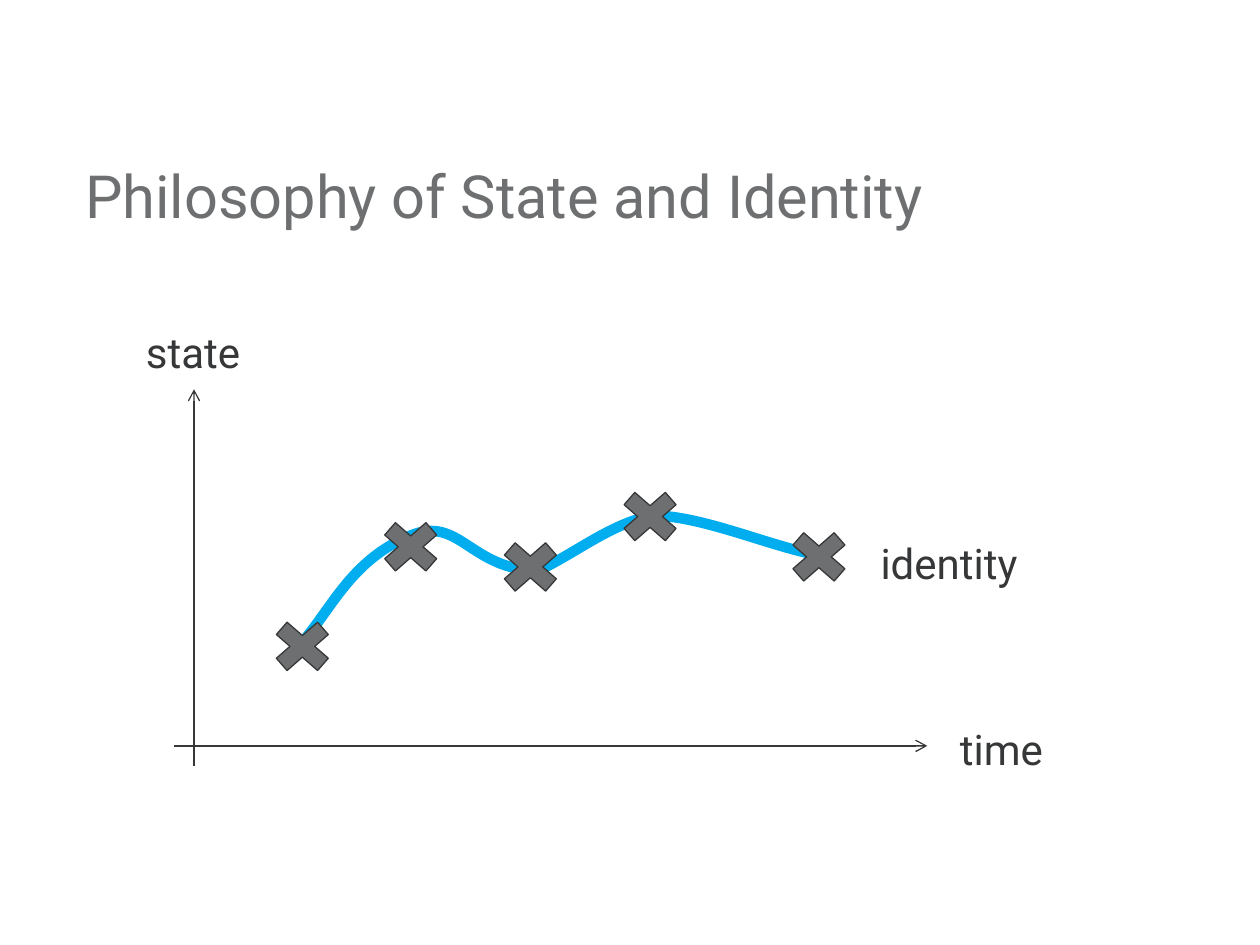
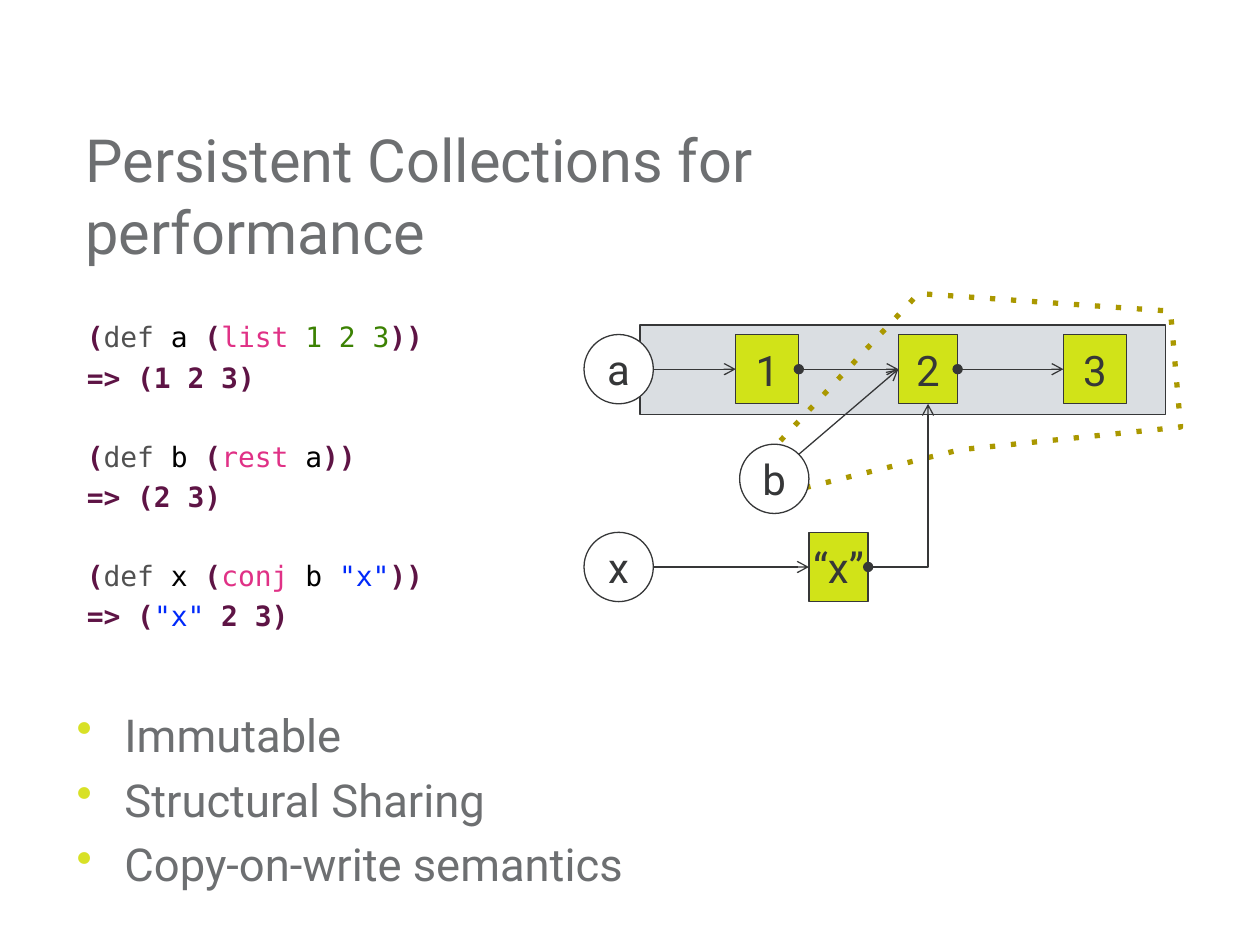
"""Build two slides on state, identity and persistent collections."""
from dataclasses import dataclass

from lxml.etree import SubElement
from pptx import Presentation
from pptx.dml.color import RGBColor
from pptx.enum.shapes import MSO_CONNECTOR, MSO_SHAPE
from pptx.enum.text import MSO_ANCHOR, PP_ALIGN
from pptx.oxml.ns import qn
from pptx.util import Emu, Inches, Pt


@dataclass(frozen=True)
class Theme:
    font: str = "Roboto"
    code_font: str = "DejaVu Sans Mono"
    title_size: float = 34
    body_size: float = 25.9
    label_size: float = 24
    code_size: float = 16
    grey: str = "6D6F71"
    ink: str = "363738"
    white: str = "FFFFFF"
    band: str = "DADEE2"
    lime: str = "D1E318"
    bullet: str = "D8E126"
    curve: str = "00ADEF"
    dots: str = "AA9800"
    thin: float = 0.75


THEME = Theme()
SLIDE_SIZE = (10, 7.5)

STATE_TITLE = "Philosophy of State and Identity"
AXES = [((1.38, 5.92), (7.36, 5.92)), ((1.54, 6.08), (1.54, 3.09))]
AXIS_LABELS = [("time", (7.52, 5.69, 0.87, 0.5)),
               ("state", (1.06, 2.54, 0.98, 0.5)),
               ("identity", (6.89, 4.22, 1.36, 0.5))]
MARKER_SIZE = (0.63, 0.55)
MARKER_CENTRES = [(2.4, 5.13), (3.26, 4.34), (4.21, 4.5), (5.16, 4.1), (6.5, 4.42)]
IDENTITY_CURVE = [(2.27, 5.23),
                  (2.6, 4.94), (2.72, 4.47), (3.26, 4.25),
                  (3.65, 4.09), (3.73, 4.52), (4.27, 4.53),
                  (4.57, 4.39), (4.84, 4.16), (5.18, 4.09),
                  (5.61, 4.1), (6.13, 4.35), (6.56, 4.42)]

COLLECTIONS_TITLE = "Persistent Collections for performance"
BENEFITS = ["Immutable", "Structural Sharing", "Copy-on-write semantics"]
CODE_COLOURS = {"mark": "5E1445", "keyword": "515151", "name": "000000",
                "function": "E03186", "number": "3C8203", "string": "0029FA"}
CODE = [
    ([("(", "mark"), ("def ", "keyword"), ("a ", "name"), ("(", "mark"),
      ("list ", "function"), ("1 2 3", "number"), ("))", "mark")],
     [("=> (1 2 3)", "mark")]),
    ([("(", "mark"), ("def ", "keyword"), ("b ", "name"), ("(", "mark"),
      ("rest ", "function"), ("a", "name"), ("))", "mark")],
     [("=> (2 3)", "mark")]),
    ([("(", "mark"), ("def ", "keyword"), ("x ", "name"), ("(", "mark"),
      ("conj ", "function"), ("b ", "name"), ('"x"', "string"), ("))", "mark")],
     [("=> (", "mark"), ('"x"', "string"), (" 2 3)", "mark")]),
]
LIST_BAND = (5.08, 2.58, 4.17, 0.71)
REST_OUTLINE = [(6.08, 3.62), (7.29, 2.33), (9.29, 2.47),
                (9.37, 3.39), (7.62, 3.57), (6.27, 3.9)]
NODE_HEIGHT = 0.55
LIST_ROW, REST_ROW, CONJ_ROW = 2.93, 3.8, 4.5
CELLS = {"1": (6.09, LIST_ROW, 0.5), "2": (7.365, LIST_ROW, 0.47),
         "3": (8.69, LIST_ROW, 0.5), "“x”": (6.655, CONJ_ROW, 0.47)}
NAMES = {"a": (4.91, LIST_ROW, NODE_HEIGHT), "b": (6.145, REST_ROW, NODE_HEIGHT),
         "x": (4.91, CONJ_ROW, NODE_HEIGHT)}
NODES = CELLS | NAMES
SIDES = {"left": (-0.5, 0), "right": (0.5, 0), "bottom": (0, 0.5), "corner": (0.35, -0.35)}
LINKS = [("1", "right", "2", "left"), ("2", "right", "3", "left"),
         ("a", "right", "1", "left"), ("b", "corner", "2", "left"),
         ("x", "right", "“x”", "left"), ("“x”", "right", "2", "bottom")]


def inches(values):
    return [Inches(value) for value in values]


def colour(value):
    return RGBColor.from_string(value)


def format_run(run, size, tint, font=THEME.font, bold=False):
    run.font.size = Pt(size)
    run.font.name = font
    run.font.bold = bold
    run.font.color.rgb = colour(tint)


def add_text(slide, box, text, size, tint, wrap=True, anchor=MSO_ANCHOR.TOP):
    text_frame = slide.shapes.add_textbox(*inches(box)).text_frame
    text_frame.word_wrap = wrap
    text_frame.vertical_anchor = anchor
    text_frame.text = text
    for paragraph in text_frame.paragraphs:
        for run in paragraph.runs:
            format_run(run, size, tint)
    return text_frame


def add_title(slide, text, width):
    add_text(slide, (0.58, 1.17, width, 0.75), text, THEME.title_size, THEME.grey,
             anchor=MSO_ANCHOR.MIDDLE)


def set_line(shape, tint=THEME.ink, width=THEME.thin):
    shape.line.color.rgb = colour(tint)
    shape.line.width = Pt(width)


def add_preset(slide, kind, box, fill):
    shape = slide.shapes.add_shape(kind, *inches(box))
    shape.shadow.inherit = False
    shape.fill.solid()
    shape.fill.fore_color.rgb = colour(fill)
    set_line(shape)
    return shape


def add_outline(slide, points, tint, width, close):
    (start_x, start_y), *rest = [inches(point) for point in points]
    builder = slide.shapes.build_freeform(start_x, start_y)
    builder.add_line_segments(rest, close=close)
    shape = builder.convert_to_shape(Emu(0), Emu(0))
    shape.shadow.inherit = False
    shape.fill.background()
    set_line(shape, tint, width)
    return shape


def bend_segments(shape):
    outline = next(shape.element.iter(qn("a:path")))
    segments = outline.findall(qn("a:lnTo"))
    for first in range(0, len(segments), 3):
        bezier = SubElement(outline, qn("a:cubicBezTo"))
        for segment in segments[first:first + 3]:
            bezier.append(segment[0])
            outline.remove(segment)


def add_arrow(slide, start, end, kind=MSO_CONNECTOR.STRAIGHT, dot=False):
    connector = slide.shapes.add_connector(kind, *inches(start), *inches(end))
    set_line(connector)
    line = connector.line._get_or_add_ln()
    if dot:
        SubElement(line, qn("a:headEnd"), type="oval")
    SubElement(line, qn("a:tailEnd"), type="arrow")
    SubElement(connector.element.spPr, qn("a:effectLst"))
    return connector


def node_box(name):
    centre_x, centre_y, width = NODES[name]
    return centre_x - width / 2, centre_y - NODE_HEIGHT / 2, width, NODE_HEIGHT


def node_side(name, side):
    centre_x, centre_y, width = NODES[name]
    across, down = SIDES[side]
    return centre_x + across * width, centre_y + down * NODE_HEIGHT


def add_node(slide, name):
    kind, fill = ((MSO_SHAPE.RECTANGLE, THEME.lime) if name in CELLS
                  else (MSO_SHAPE.OVAL, THEME.white))
    text_frame = add_preset(slide, kind, node_box(name), fill).text_frame
    text_frame.margin_left = text_frame.margin_right = 0
    text_frame.vertical_anchor = MSO_ANCHOR.MIDDLE
    text_frame.text = name
    paragraph = text_frame.paragraphs[0]
    paragraph.alignment = PP_ALIGN.CENTER
    format_run(paragraph.runs[0], THEME.label_size, THEME.ink)


def add_link(slide, source, source_side, target, target_side):
    bent = target_side == "bottom"
    connector = add_arrow(slide, node_side(source, source_side),
                          node_side(target, target_side),
                          MSO_CONNECTOR.ELBOW if bent else MSO_CONNECTOR.STRAIGHT,
                          dot=source in CELLS)
    if bent:
        connector.element.spPr.find(qn("a:prstGeom")).set("prst", "bentConnector2")


def add_benefits(slide):
    text_frame = add_text(slide, (0.51, 5.56, 8.66, 1.35), "\n".join(BENEFITS),
                          THEME.body_size, THEME.grey)
    for paragraph in text_frame.paragraphs:
        paragraph.space_before = Pt(6)
        properties = paragraph._p.get_or_add_pPr()
        properties.set("marL", str(Inches(0.38)))
        properties.set("indent", str(-Inches(0.38)))
        bullet_colour = SubElement(properties, qn("a:buClr"))
        SubElement(bullet_colour, qn("a:srgbClr"), val=THEME.bullet)
        SubElement(properties, qn("a:buChar"), char="•")


def add_code(slide):
    text_frame = slide.shapes.add_textbox(*inches((0.59, 2.49, 4.49, 2.99))).text_frame
    text_frame.word_wrap = True
    for block, lines in enumerate(CODE):
        for row, tokens in enumerate(lines):
            first = block == row == 0
            paragraph = text_frame.paragraphs[0] if first else text_frame.add_paragraph()
            paragraph.space_before = Pt(26 if block and not row else 3.7)
            for text, role in tokens:
                run = paragraph.add_run()
                run.text = text
                format_run(run, THEME.code_size, CODE_COLOURS[role],
                           THEME.code_font, role == "mark")


def build_state_slide(slide):
    bend_segments(add_outline(slide, IDENTITY_CURVE, THEME.curve, 6, close=False))
    add_title(slide, STATE_TITLE, 8.67)
    for start, end in AXES:
        add_arrow(slide, start, end)
    width, height = MARKER_SIZE
    for centre_x, centre_y in MARKER_CENTRES:
        box = (centre_x - width / 2, centre_y - height / 2, width, height)
        add_preset(slide, MSO_SHAPE.MATH_MULTIPLY, box, THEME.grey)
    for text, box in AXIS_LABELS:
        add_text(slide, box, text, THEME.label_size, THEME.ink, wrap=False)


def build_collections_slide(slide):
    add_preset(slide, MSO_SHAPE.RECTANGLE, LIST_BAND, THEME.band)
    outline = add_outline(slide, REST_OUTLINE, THEME.dots, 3, close=True)
    SubElement(outline.line._get_or_add_ln(), qn("a:prstDash"), val="dot")
    add_title(slide, COLLECTIONS_TITLE, 7)
    add_benefits(slide)
    add_code(slide)
    for name in NODES:
        add_node(slide, name)
    for link in LINKS:
        add_link(slide, *link)


def main():
    presentation = Presentation()
    presentation.slide_width, presentation.slide_height = inches(SLIDE_SIZE)
    blank = presentation.slide_layouts[6]
    for build in (build_state_slide, build_collections_slide):
        build(presentation.slides.add_slide(blank))
    presentation.save("out.pptx")


if __name__ == "__main__":
    main()
